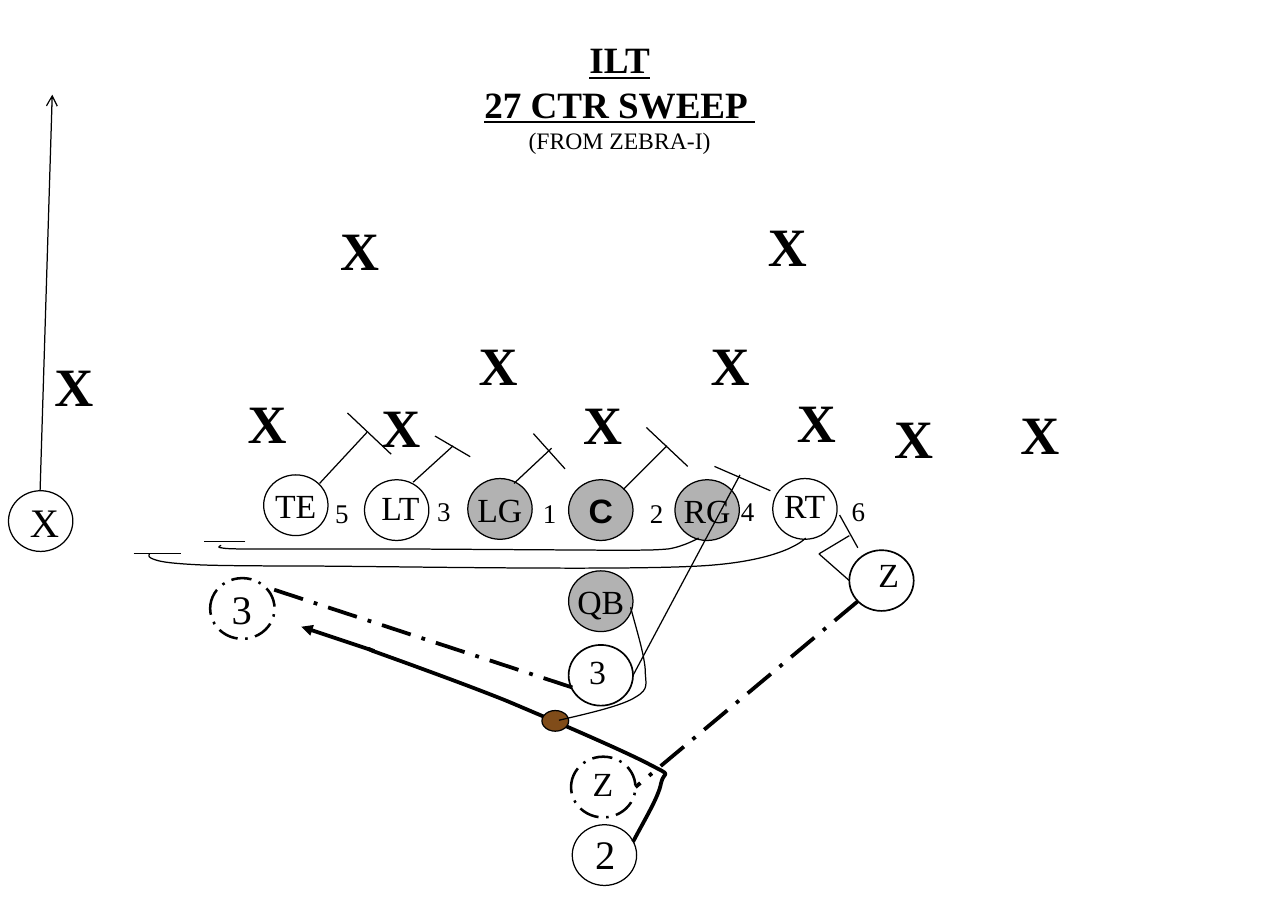
"""Draw the 27 counter sweep football play on one slide."""
from lxml import etree
from pptx import Presentation
from pptx import util as u
from pptx.dml.color import RGBColor
from pptx.enum import dml, shapes, text
from pptx.oxml import ns

COLUMNS, ROWS = 1060, 750
CELL = u.Inches(0.01)
SERIF, SANS = "Times New Roman", "Arial"
BLACK, WHITE, GREY, BROWN = "000000", "FFFFFF", "B2B2B2", "804C19"
THIN, MEDIUM, DASHED, HEAVY = 0.75, 1, 1.5, 2.25
CIRCLE = (53, 50)
BALL = (446, 585, 22, 17)

TITLE_BOX = (270, 25, 480, 130)
TITLE = [("ILT", 22, True), ("27 CTR SWEEP ", 22, True), ("(FROM ZEBRA-I)", 14, False)]

# label, column, row, fill, outline width, size, font, centred
CENTRED_PLAYERS = [
    ("C", 468, 395, GREY, THIN, 20, SANS, True),
    ("RG", 555.5, 395, GREY, THIN, 20, SERIF, True),
    ("LG", 385, 394, GREY, THIN, 20, SERIF, True),
    ("QB", 468, 470, GREY, THIN, 20, SERIF, True),
    ("TE", 217, 391, WHITE, THIN, 20, SERIF, True),
    ("X", 7, 404, WHITE, THIN, 24, SERIF, False),
    ("3", 173, 476, WHITE, DASHED, 24, SERIF, False),
]
# label, circle corner, outline width, label box, size
LABELLED_PLAYERS = [
    ("2", (471, 679), THIN, (480, 678, 36, 50), 24),
    ("RT", (636, 394), THIN, (635.5, 394, 55, 44), 20),
    ("Z", (470, 623), DASHED, (478, 623, 37, 44), 20),
    ("LT", (300, 395), THIN, (304, 396, 54, 44), 20),
    ("Z", (699, 453), MEDIUM, (713, 451, 37, 44), 20),
    ("3", (468, 531), MEDIUM, (475, 531, 34, 44), 20),
]
DEFENDERS = [
    (470, 317), (304, 319), (646, 315), (384, 268), (194, 316), (575, 268),
    (726, 328), (35, 285), (830, 325), (270, 173), (622, 170),
]
GAPS = [("5", 266, 404), ("3", 350, 402), ("1", 437, 404),
        ("2", 525, 404), ("4", 600, 402), ("6", 691, 402)]

BLOCKS = [
    (532, 352, 566, 384), (202, 446, 168, 446), (110, 456, 149, 456),
    (549, 367, 513, 403), (286, 340, 322, 374), (465, 386, 439, 357),
    (358, 359, 387, 376), (674, 456, 699, 441), (521, 556, 609, 391),
    (340, 397, 373, 367), (423, 398, 454, 369), (699, 478, 674, 456),
    (263, 398, 302, 356), (588, 384, 634, 404), (706, 451, 691, 424),
]
MOTIONS = [(471, 566, 218, 483), (706, 495, 523, 648)]
ARROWS = [((33, 404, 43, 78), THIN, "arrow"), ((308, 536, 248, 516), HEAVY, "triangle")]

# each leg lists its control points: one for a straight leg, three for a curve
GUARD_PULL = [
    [(182, 449)], [(180, 450), (179, 451), (182, 451)],
    [(186, 452), (195, 452), (205, 452)], [(239, 452)], [(330, 452)], [(499, 453)],
    [(535, 453), (537, 453), (550, 452)], [(563, 450), (575, 443), (575, 443)],
]
TACKLE_PULL = [
    [(123, 456)], [(122, 458), (122, 459), (128, 461)],
    [(134, 463), (144, 464), (162, 465)], [(181, 466), (240, 466), (240, 466)],
    [(309, 466), (506, 470), (576, 466)], [(647, 462), (663, 443), (663, 443)],
]
SWEEP = [
    [(521, 693)], [(531, 674), (542, 656), (544, 645)],
    [(546, 634), (555, 640), (534, 629)], [(513, 618), (455, 593), (417, 577)],
    [(380, 562), (307, 536), (307, 536)], [(303, 534)],
]
HANDOFF = [
    [(519, 500)], [(524, 519), (530, 538), (531, 551)],
    [(531, 563), (535, 567), (523, 574)], [(512, 581), (486, 587), (460, 593)],
]
PULL_MARK = [[(229, 467)], [(229, 467)]]
ROUTES = [(PULL_MARK, THIN, "triangle"), (GUARD_PULL, THIN, None),
          (TACKLE_PULL, THIN, None), (SWEEP, HEAVY, None)]


def cells(*counts):
    return [round(count * CELL) for count in counts]


def colour(value):
    return RGBColor.from_string(value)


def outline(shape, width, dashed=False, head=None):
    shape.line.color.rgb = colour(BLACK)
    shape.line.width = u.Pt(width)
    if dashed:
        shape.line.dash_style = dml.MSO_LINE.LONG_DASH_DOT
    if head:
        stroke = shape._element.spPr.find(ns.qn("a:ln"))
        etree.SubElement(stroke, ns.qn("a:tailEnd"), type=head)


def style(para, size, font=SERIF, bold=False, underline=False, centred=False):
    para.alignment = text.PP_ALIGN.CENTER if centred else text.PP_ALIGN.LEFT
    for span in para.runs:
        span.font.name, span.font.size = font, u.Pt(size)
        span.font.bold, span.font.underline = bold, underline
        span.font.color.rgb = colour(BLACK)


def add_oval(page, place, fill, width):
    oval = page.shapes.add_shape(shapes.MSO_SHAPE.OVAL, *cells(*place))
    oval.shadow.inherit = False
    oval.fill.solid()
    oval.fill.fore_color.rgb = colour(fill)
    outline(oval, width, width == DASHED)
    return oval


def add_label(page, label, place, size, bold=False):
    box = page.shapes.add_textbox(*cells(*place))
    box.text_frame.word_wrap = False
    box.text_frame.text = label
    style(box.text_frame.paragraphs[0], size, bold=bold)


def add_line(page, ends, width, dashed=False, head=None):
    line = page.shapes.add_connector(shapes.MSO_CONNECTOR.STRAIGHT, *cells(*ends))
    outline(line, width, dashed, head)
    etree.SubElement(line._element.spPr, ns.qn("a:effectLst"))


def add_route(page, legs, width, head=None):
    builder = page.shapes.build_freeform(*cells(*legs[0][0]))
    builder.add_line_segments([cells(*point) for leg in legs[1:] for point in leg], close=False)
    route = builder.convert_to_shape()
    segments = iter(list(route._element.iter(ns.qn("a:lnTo"))))
    for leg in legs[1:]:
        first, *others = [next(segments) for _ in leg]
        if others:
            first.tag = ns.qn("a:cubicBezTo")
            for other in others:
                first.append(other[0])
                other.getparent().remove(other)
    route.shadow.inherit = False
    route.fill.background()
    outline(route, width, head=head)


def add_title(page):
    title = page.shapes.title
    title.left, title.top, title.width, title.height = cells(*TITLE_BOX)
    frame = title.text_frame
    frame.word_wrap = True
    frame.auto_size = text.MSO_AUTO_SIZE.NONE
    frame.vertical_anchor = text.MSO_ANCHOR.TOP
    frame.text = "\n".join(row[0] for row in TITLE)
    for para, (_, size, strong) in zip(frame.paragraphs, TITLE):
        style(para, size, bold=strong, underline=strong, centred=True)


def add_players(page):
    for label, left, top, fill, width, size, font, centred in CENTRED_PLAYERS:
        player = add_oval(page, (left, top, *CIRCLE), fill, width)
        frame = player.text_frame
        frame.word_wrap = False
        frame.vertical_anchor = text.MSO_ANCHOR.MIDDLE
        frame.text = label
        style(frame.paragraphs[0], size, font, font == SANS, centred=centred)
    for label, corner, width, place, size in LABELLED_PLAYERS:
        add_oval(page, (*corner, *CIRCLE), WHITE, width)
        add_label(page, label, place, size)
    for left, top in DEFENDERS:
        add_label(page, "X", (left, top, 52, 64), 32, bold=True)
    for label, left, top in GAPS:
        add_label(page, label, (left, top, 34, 43), 16)


def add_movement(page):
    for ends in BLOCKS:
        add_line(page, ends, THIN)
    for ends in MOTIONS:
        add_line(page, ends, HEAVY, dashed=True)
    for legs, width, head in ROUTES:
        add_route(page, legs, width, head)
    for ends, width, head in ARROWS:
        add_line(page, ends, width, head=head)
    add_oval(page, BALL, BROWN, THIN)
    add_route(page, HANDOFF, THIN)


def main():
    deck = Presentation()
    deck.slide_width, deck.slide_height = cells(COLUMNS, ROWS)
    page = deck.slides.add_slide(deck.slide_layouts.get_by_name("Title Only"))
    add_title(page)
    add_players(page)
    add_movement(page)
    deck.save("out.pptx")


if __name__ == "__main__":
    main()
